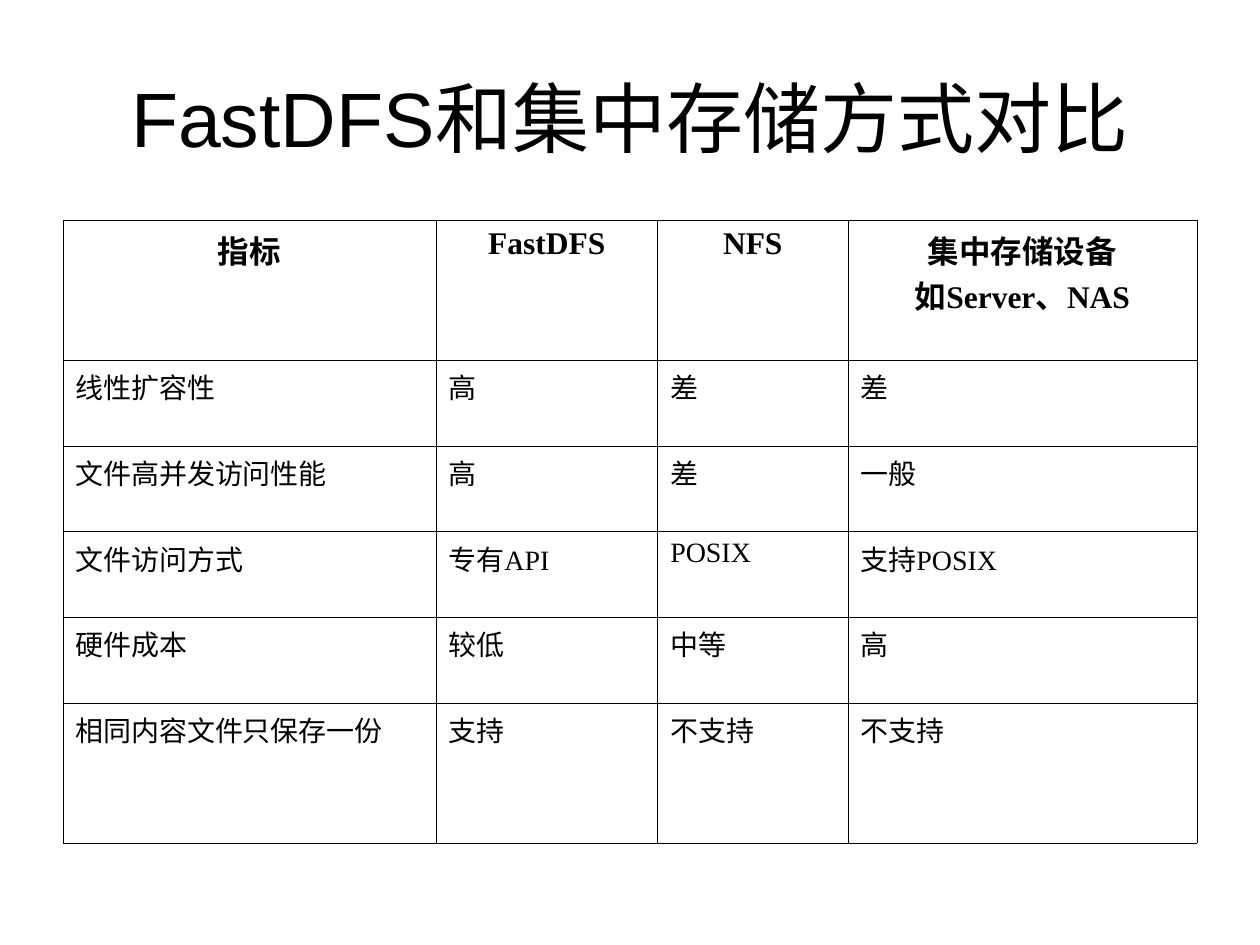
"""Build a slide with a table comparing FastDFS and centralised storage."""
from lxml import etree
from pptx import Presentation
from pptx.dml.color import RGBColor
from pptx.enum import text
from pptx.oxml import ns
from pptx.util import Inches, Pt

BLACK = RGBColor(0x00, 0x00, 0x00)
COLUMN_WIDTHS = [2.96, 1.76, 1.51, 2.77]
ROW_HEIGHTS = [1.11, 0.68, 0.68, 0.68, 0.68, 1.11]
ROWS = [
    ["指标", "FastDFS", "NFS", "集中存储设备\n如Server、NAS"],
    ["线性扩容性", "高", "差", "差"],
    ["文件高并发访问性能", "高", "差", "一般"],
    ["文件访问方式", "专有API", "POSIX", "支持POSIX"],
    ["硬件成本", "较低", "中等", "高"],
    ["相同内容文件只保存一份", "支持", "不支持", "不支持"],
]


def format_paragraph(paragraph, font_name, size, bold, alignment):
    paragraph.alignment = alignment
    for run in paragraph.runs:
        run.font.name = font_name
        run.font.size = Pt(size)
        run.font.bold = bold
        run.font.color.rgb = BLACK


def add_borders(cell):
    properties = cell._tc.get_or_add_tcPr()
    for position, side in enumerate(["lnL", "lnR", "lnT", "lnB"]):
        line = etree.Element(ns.qn(f"a:{side}"), w=str(Pt(0.45)))
        fill = etree.SubElement(line, ns.qn("a:solidFill"))
        etree.SubElement(fill, ns.qn("a:srgbClr"), val=str(BLACK))
        properties.insert(position, line)


presentation = Presentation()
presentation.slide_width = Inches(10)
presentation.slide_height = Inches(7.5)
slide = presentation.slides.add_slide(presentation.slide_layouts[5])

title = slide.shapes.title
title.left, title.top = Inches(0.5), Inches(0.3)
title.width, title.height = Inches(9), Inches(1.25)
title.text_frame.text = "FastDFS和集中存储方式对比"
title.text_frame.vertical_anchor = text.MSO_ANCHOR.MIDDLE
format_paragraph(title.text_frame.paragraphs[0], "Arial", 44, False, text.PP_ALIGN.CENTER)

table = slide.shapes.add_table(
    len(ROWS), len(COLUMN_WIDTHS), Inches(0.5), Inches(1.75),
    Inches(sum(COLUMN_WIDTHS)), Inches(sum(ROW_HEIGHTS)),
).table
table.first_row = False
table.horz_banding = False
for column, width in zip(table.columns, COLUMN_WIDTHS):
    column.width = Inches(width)

for row_index, labels in enumerate(ROWS):
    table.rows[row_index].height = Inches(ROW_HEIGHTS[row_index])
    is_header = row_index == 0
    size = 18 if is_header else 16
    alignment = text.PP_ALIGN.CENTER if is_header else text.PP_ALIGN.LEFT
    for column_index, label in enumerate(labels):
        cell = table.cell(row_index, column_index)
        cell.fill.background()
        add_borders(cell)
        cell.text_frame.text = label
        for paragraph in cell.text_frame.paragraphs:
            format_paragraph(paragraph, "Times New Roman", size, is_header, alignment)
            properties = paragraph._p.get_or_add_pPr()
            properties.set("marL", str(Inches(0.38)))
            properties.set("indent", str(Inches(-0.38)))

presentation.save("out.pptx")
